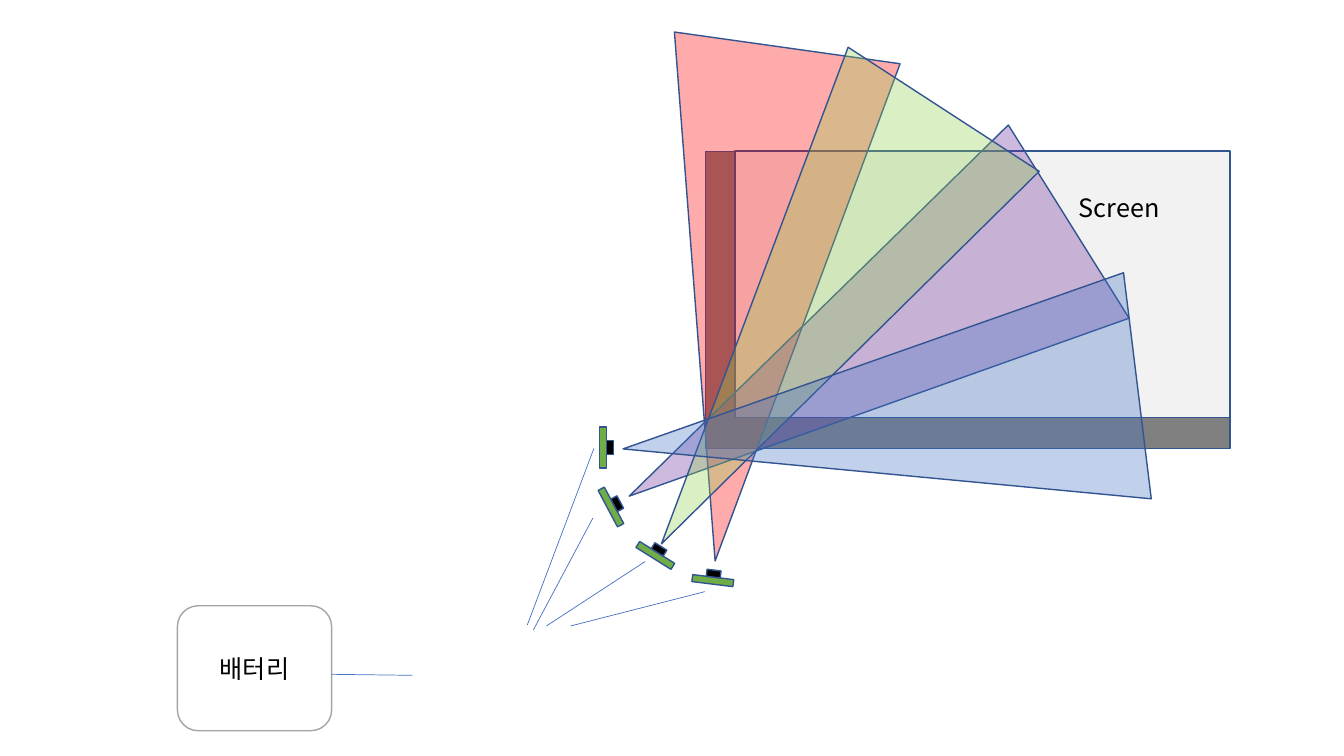
from math import cos, radians, sin

from lxml import etree
from pptx import Presentation
from pptx.dml.color import RGBColor
from pptx.enum.shapes import MSO_CONNECTOR, MSO_SHAPE
from pptx.enum.text import MSO_ANCHOR, PP_ALIGN
from pptx.oxml.ns import qn
from pptx.util import Inches, Pt

FONT = "Noto Sans CJK KR"
COLORS = {
    "outline": "325491", "wire": "4472C4", "frame": "808080", "screen": "F2F2F2",
    "red": "FF0000", "purple": "7030A0", "green": "92D050", "blue": "4472C4",
    "board": "70AD47", "lens": "000000", "text": "000000",
    "box": "FFFFFF", "box_line": "A5A5A5",
}


def rgb(name):
    return RGBColor.from_string(COLORS[name])


def add_part(shapes, kind, box, fill, line="outline", rotation=0, alpha=None):
    s = shapes.add_shape(kind, *map(Inches, box))
    s.shadow.inherit = False
    s.rotation = rotation
    s.fill.solid()
    s.fill.fore_color.rgb = rgb(fill)
    s.line.color.rgb = rgb(line)
    s.line.width = Pt(1)
    if alpha is not None:
        color = s.fill._xPr.find(qn("a:solidFill"))[0]
        etree.SubElement(color, qn("a:alpha")).set("val", str(alpha * 1000))
    return s


def add_label(s, text):
    tf = s.text_frame
    tf.word_wrap = True
    p = tf.paragraphs[0]
    p.alignment = PP_ALIGN.CENTER
    r = p.add_run()
    r.text = text
    r.font.size = Pt(18)
    r.font.name = FONT
    r.font.color.rgb = rgb("text")
    etree.SubElement(r.font._element, qn("a:ea")).set("typeface", FONT)


def add_wire(shapes, start, end):
    c = shapes.add_connector(MSO_CONNECTOR.STRAIGHT, *map(Inches, start + end))
    c.line.color.rgb = rgb("wire")
    c.line.width = Pt(0.5)
    etree.SubElement(c._element.spPr, qn("a:effectLst"))


def add_screen(shapes, left, top, width, height):
    # Dark frame on the left and bottom sides of the screen
    side, bottom = 0.29, 0.31
    add_part(shapes, MSO_SHAPE.RECTANGLE, (left, top, width, height), "frame")
    add_part(shapes, MSO_SHAPE.RECTANGLE,
             (left + side, top, width - side, height - bottom), "screen")
    label = shapes.add_textbox(*map(Inches, (left + 2.6, top + 0.36, 3, 0.4)))
    add_label(label, "Screen")


def add_view(shapes, left, top, rotation, color):
    add_part(shapes, MSO_SHAPE.ISOSCELES_TRIANGLE, (left, top, 2.26, 5.14),
             color, rotation=rotation, alpha=33)


def add_camera(shapes, cx, cy, rotation):
    # The lens sits in front of the board, along the viewing direction
    group = shapes.add_group_shape()
    angle = radians(rotation)
    for color, height, offset in (("board", 0.41, 0), ("lens", 0.14, 0.07)):
        x, y = cx + offset * cos(angle), cy + offset * sin(angle)
        add_part(group.shapes, MSO_SHAPE.RECTANGLE,
                 (x - 0.035, y - height / 2, 0.07, height), color, rotation=rotation)


def add_battery(shapes, left, top, width, height):
    s = add_part(shapes, MSO_SHAPE.ROUNDED_RECTANGLE, (left, top, width, height),
                 "box", "box_line")
    s.text_frame.vertical_anchor = MSO_ANCHOR.MIDDLE
    add_label(s, "배터리")
    right = left + width
    add_wire(shapes, (right + 0.8, top + 0.69), (right, top + 0.68))


prs = Presentation()
prs.slide_width, prs.slide_height = Inches(13.33), Inches(7.5)
shapes = prs.slides.add_slide(prs.slide_layouts[6]).shapes

add_screen(shapes, 7, 1.5, 5.2, 2.95)

# Fields of view, 25 degrees apart
for left, top, step, color in ((6.32, 0.45, 0, "red"), (7.29, 0.99, 2, "purple"),
                               (6.83, 0.67, 1, "green"), (7.6, 1.57, 3, "blue")):
    add_view(shapes, left, top, 188 + 25 * step, color)

# Cameras: centre and rotation
for camera in ((5.98, 4.44, 0), (6.06, 5.03, 332), (6.5, 5.51, 302), (7.07, 5.76, 277)):
    add_camera(shapes, *camera)

# Camera wires
for start, end in (((5.89, 4.45), (5.23, 6.2)), ((5.88, 5.14), (5.29, 6.25)),
                   ((6.4, 5.57), (5.42, 6.21)), ((6.99, 5.87), (5.66, 6.21))):
    add_wire(shapes, start, end)

add_battery(shapes, 1.76, 6.01, 1.53, 1.24)

prs.save("out.pptx")
